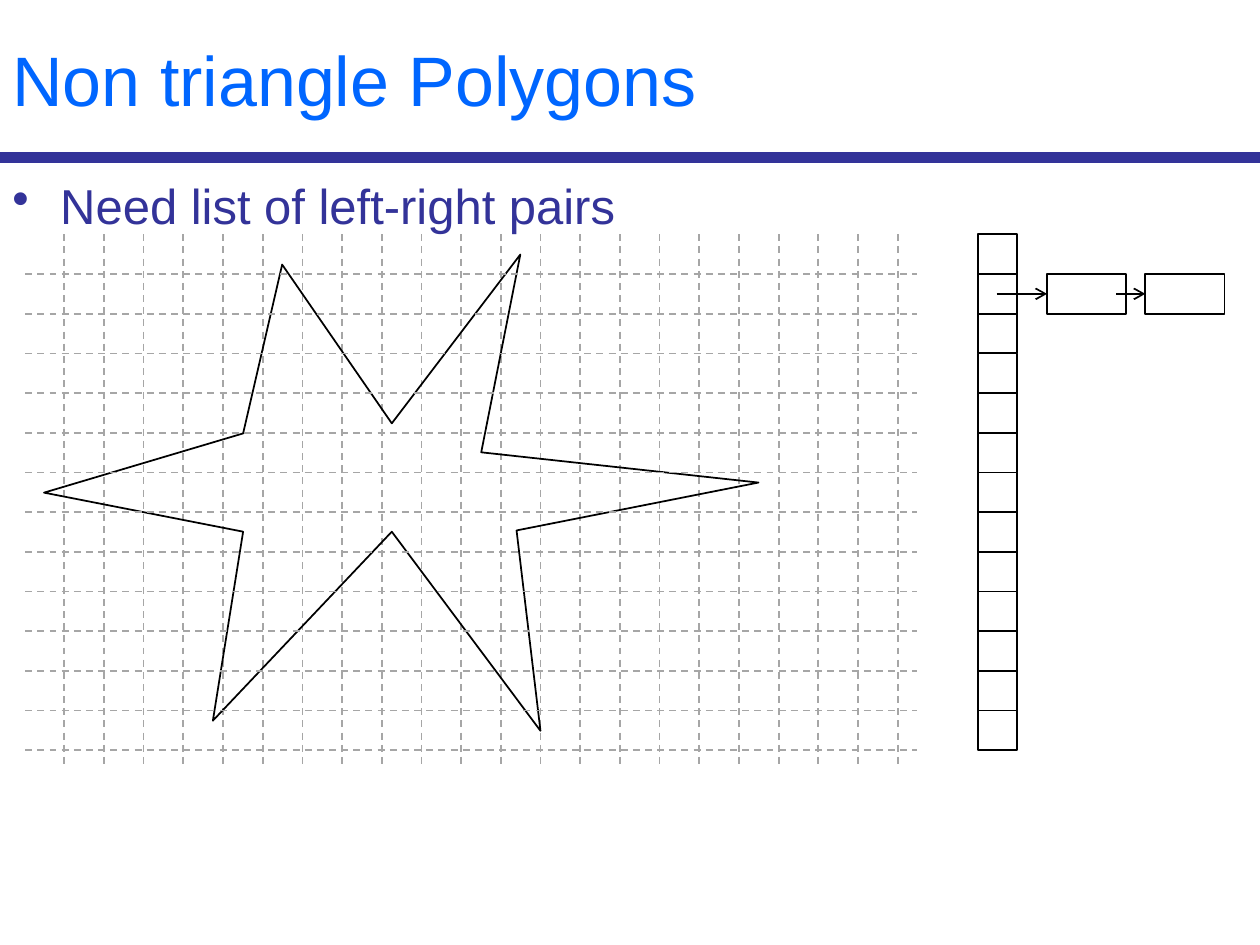
import pptx
import pptx.dml.color
import pptx.enum.dml
import pptx.enum.shapes
import pptx.enum.text
import pptx.oxml.ns
import pptx.util
from lxml import etree
from pptx.util import Inches

BLUE = pptx.dml.color.RGBColor(0x00, 0x66, 0xFF)
NAVY = pptx.dml.color.RGBColor(0x33, 0x33, 0x99)
GREY = pptx.dml.color.RGBColor(0xA6, 0xA6, 0xA6)
BLACK = pptx.dml.color.RGBColor(0, 0, 0)

NODE_WIDTH = 0.63
CELL = NODE_WIDTH / 2
GRID_LEFT, GRID_RIGHT = 0.2, 7.28
GRID_TOP, GRID_BOTTOM = 1.86, 6.07
COLUMNS, ROWS = 22, 13
TABLE_LEFT = 7.76
NODE_TOP = GRID_TOP + CELL
NODE_LEFTS = (8.31, 9.09)
ARROW_STARTS = (7.91, 8.86)
STAR = [
    (2.24, 2.1), (3.11, 3.36), (4.13, 2.02), (3.82, 3.59),
    (6.02, 3.83), (4.1, 4.21), (4.29, 5.8), (3.11, 4.22),
    (1.69, 5.72), (1.93, 4.22), (0.35, 3.91), (1.93, 3.44),
]

deck = pptx.Presentation()
deck.slide_width, deck.slide_height = Inches(10), Inches(7.5)
page = deck.slides.add_slide(deck.slide_layouts[6])
shapes = page.shapes


def add_line(x1, y1, x2, y2, color, width=1, dash=None):
    line = shapes.add_connector(
        pptx.enum.shapes.MSO_CONNECTOR.STRAIGHT,
        Inches(x1), Inches(y1), Inches(x2), Inches(y2))
    line.line.color.rgb = color
    line.line.width = pptx.util.Pt(width)
    if dash is not None:
        line.line.dash_style = dash
    etree.SubElement(line._element.spPr, pptx.oxml.ns.qn("a:effectLst"))
    return line


def outline(shape):
    """Leave the shape unfilled with a thin black border."""
    shape.shadow.inherit = False
    shape.fill.background()
    shape.line.color.rgb = BLACK
    shape.line.width = pptx.util.Pt(1)


# Title and rule
add_line(0, 1.25, 10, 1.25, NAVY, width=6)
title = shapes.add_textbox(0, 0, Inches(10), Inches(1.25))
title.text_frame.word_wrap = True
title.text_frame.vertical_anchor = pptx.enum.text.MSO_ANCHOR.MIDDLE
title.text_frame.text = "Non triangle Polygons"

# Vertical grid lines lie behind the bullet and the star
DASH = pptx.enum.dml.MSO_LINE.DASH
for column in range(COLUMNS):
    x = 0.51 + column * CELL
    add_line(x, GRID_TOP, x, GRID_BOTTOM, GREY, dash=DASH)

# Bullet
body = shapes.add_textbox(0, Inches(1.31), Inches(10), Inches(6.19))
body.text_frame.word_wrap = True
body.text_frame.margin_top = Inches(0.08)
body.text_frame.text = "Need list of left-right pairs"
properties = body.text_frame.paragraphs[0]._p.get_or_add_pPr()
properties.set("marL", str(Inches(0.38)))
properties.set("indent", str(Inches(-0.38)))
etree.SubElement(properties, pptx.oxml.ns.qn("a:buChar")).set("char", "•")

for box, size, color in ((title, 40, BLUE), (body, 28, NAVY)):
    span = box.text_frame.paragraphs[0].runs[0]
    span.font.name = "Arial"
    span.font.size = pptx.util.Pt(size)
    span.font.color.rgb = color

# Star polygon
points = [(Inches(x), Inches(y)) for x, y in STAR]
builder = shapes.build_freeform(*points[0])
builder.add_line_segments(points[1:], close=True)
outline(builder.convert_to_shape())

# Horizontal grid lines cross over the star
for row in range(1, ROWS + 1):
    y = GRID_TOP + row * CELL
    add_line(GRID_LEFT, y, GRID_RIGHT, y, GREY, dash=DASH)

# Scanline table, one cell per grid row
RECTANGLE = pptx.enum.shapes.MSO_SHAPE.RECTANGLE
for row in range(ROWS):
    outline(shapes.add_shape(
        RECTANGLE, Inches(TABLE_LEFT), Inches(GRID_TOP + row * CELL),
        Inches(CELL), Inches(CELL)))

# Linked list of pairs
for left, start in zip(NODE_LEFTS, ARROW_STARTS):
    node = shapes.add_shape(
        RECTANGLE, Inches(left), Inches(NODE_TOP),
        Inches(NODE_WIDTH), Inches(CELL))
    outline(node)
    middle = NODE_TOP + CELL / 2
    arrow = add_line(start, middle, left, middle, BLACK)
    arrow.end_connect(node, 1)
    head = etree.SubElement(
        arrow.line._get_or_add_ln(), pptx.oxml.ns.qn("a:tailEnd"))
    head.set("type", "arrow")

deck.save("out.pptx")
